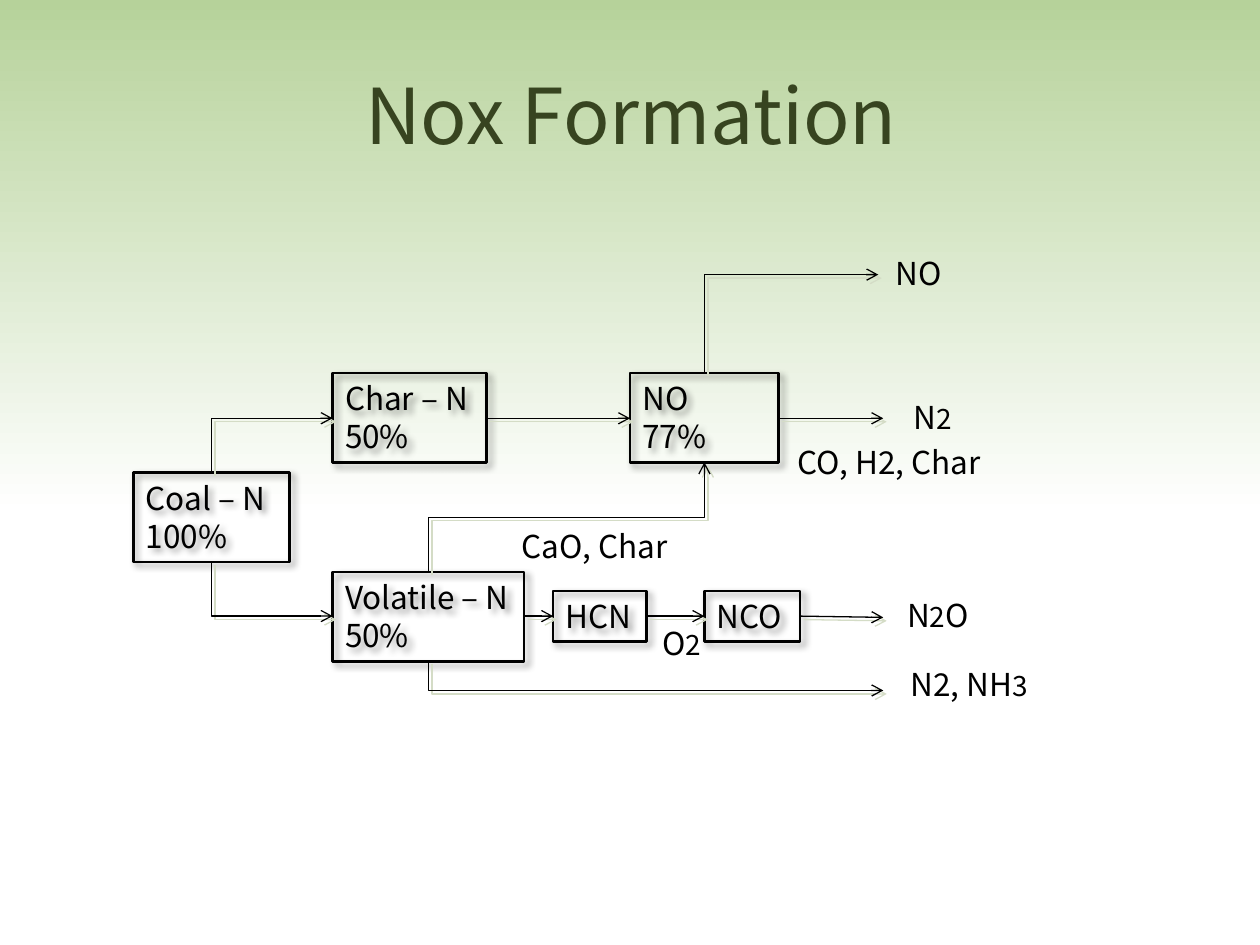
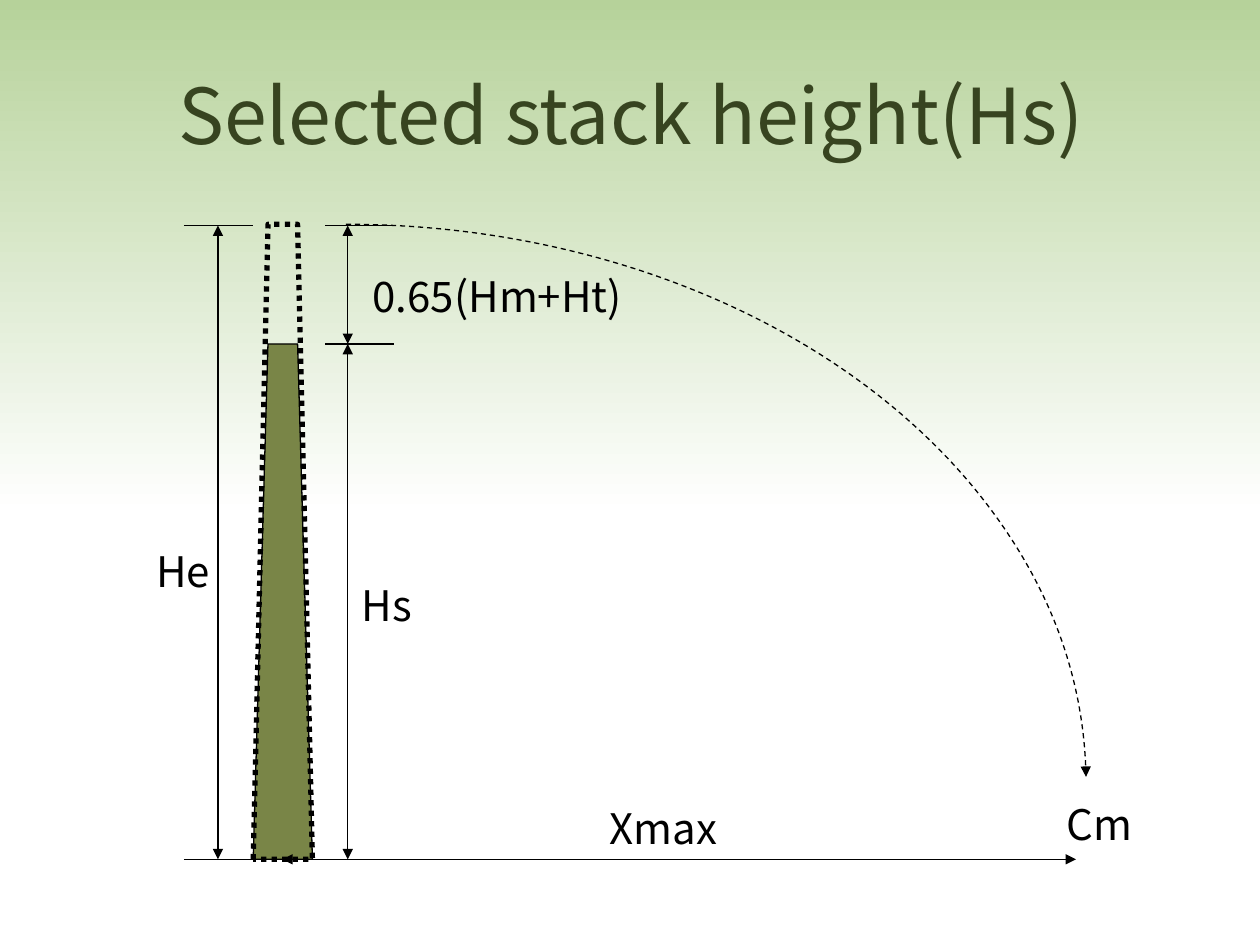
from lxml.etree import SubElement
from pptx import Presentation
from pptx.dml.color import RGBColor
from pptx.enum.dml import MSO_LINE
from pptx.enum.shapes import MSO_CONNECTOR, MSO_SHAPE
from pptx.enum.text import MSO_ANCHOR, MSO_AUTO_SIZE, PP_ALIGN
from pptx.oxml.ns import qn
from pptx.util import Emu, Pt

SCALE = 9144
FONT = "Noto Sans CJK KR"
BLACK = RGBColor(0x00, 0x00, 0x00)
WHITE = RGBColor(0xFF, 0xFF, 0xFF)
LEAF = RGBColor(0xB6, 0xD2, 0x9A)
MOSS = RGBColor(0x37, 0x44, 0x20)
OLIVE = RGBColor(0x79, 0x85, 0x47)
HAZE = RGBColor(0xD4, 0xDC, 0xC6)


def px(*sizes):
    return [Emu(round(size * SCALE)) for size in sizes]


class Deck:
    """Holds the shared style and draws on the current slide."""

    def __init__(self):
        self.file = Presentation()
        self.file.slide_width, self.file.slide_height = px(1000, 750)

    def page(self, title):
        self.slide = self.file.slides.add_slide(self.file.slide_layouts[6])
        self.shapes = self.slide.shapes
        band = self.shape(MSO_SHAPE.RECTANGLE, 0, 0, 1000, 408)
        band.fill.gradient()
        band.fill.gradient_angle = 270
        for stop, color in zip(band.fill.gradient_stops, (LEAF, WHITE)):
            stop.color.rgb = color
        band.line.fill.background()
        frame = self.shapes.add_textbox(*px(51, 28, 900, 125)).text_frame
        frame.word_wrap = True
        frame.vertical_anchor = MSO_ANCHOR.MIDDLE
        self.say(frame, [title], 44, MOSS, PP_ALIGN.CENTER)

    def say(self, frame, lines, size, color=BLACK, align=PP_ALIGN.LEFT):
        for row, line in enumerate(lines):
            para = frame.add_paragraph() if row else frame.paragraphs[0]
            para.alignment = align
            for turn, part in enumerate(line.split("_")):
                if part:
                    run = para.add_run()
                    run.text = part
                    run.font.name = FONT
                    run.font.size = Pt(size - 2 * (turn % 2))
                    run.font.color.rgb = color

    def fit(self, frame, lines, size, wrap=False):
        frame.word_wrap = wrap
        frame.auto_size = MSO_AUTO_SIZE.SHAPE_TO_FIT_TEXT
        frame.vertical_anchor = MSO_ANCHOR.TOP
        self.say(frame, lines, size)

    def label(self, x, y, w, h, text, size):
        frame = self.shapes.add_textbox(*px(x, y, w, h)).text_frame
        self.fit(frame, [text], size)

    def stroke(self, shape, width=0.75, dash=None, head=None, tail=None):
        shape.line.color.rgb = BLACK
        shape.line.width = Pt(width)
        if dash:
            shape.line.dash_style = dash
        line = shape.element.spPr.find(qn("a:ln"))
        for tag, kind in (("a:headEnd", head), ("a:tailEnd", tail)):
            if kind:
                SubElement(line, qn(tag), type=kind)

    def shade(self, effect, color, alpha, blur, dist):
        shadow = SubElement(
            effect, qn("a:outerShdw"), blurRad=str(Pt(blur)),
            dist=str(Pt(dist)), dir="2700000", algn="tl", rotWithShape="0")
        tint = SubElement(shadow, qn("a:srgbClr"), val=str(color))
        SubElement(tint, qn("a:alpha"), val=str(alpha * 1000))

    def shape(self, kind, x, y, w, h, fill=None, **style):
        shape = self.shapes.add_shape(kind, *px(x, y, w, h))
        shape.shadow.inherit = False
        if fill:
            shape.fill.solid()
            shape.fill.fore_color.rgb = fill
        else:
            shape.fill.background()
        self.stroke(shape, **style)
        return shape

    def box(self, x, y, w, h, *lines, wrap=False):
        shape = self.shape(MSO_SHAPE.RECTANGLE, x, y, w, h, width=1.5)
        effect = shape.element.spPr.find(qn("a:effectLst"))
        self.shade(effect, BLACK, 40, 4, 3)
        self.fit(shape.text_frame, lines, 18, wrap)

    def line(self, x1, y1, x2, y2, kind=MSO_CONNECTOR.STRAIGHT, **style):
        link = self.shapes.add_connector(kind, *px(x1, y1, x2, y2))
        self.stroke(link, **style)
        effect = SubElement(link.element.spPr, qn("a:effectLst"))
        return link, effect

    def flow(self, *ends, **style):
        link, effect = self.line(*ends, tail="arrow", **style)
        self.shade(effect, HAZE, 100, 0, 2.8)
        return link

    def bend(self, x1, y1, x2, y2, form="bentConnector2"):
        midx, midy = (x1 + x2) / 2, (y1 + y2) / 2
        half, rise = (x2 - x1) / 2, abs(y2 - y1) / 2
        link = self.flow(midx - rise, midy - half, midx + rise, midy + half,
                         kind=MSO_CONNECTOR.ELBOW)
        link.element.spPr.find(qn("a:prstGeom")).set("prst", form)
        frame = link.element.spPr.find(qn("a:xfrm"))
        frame.set("flipH", "1")
        if y2 > y1:
            frame.set("rot", "16200000")
        else:
            frame.set("rot", "5400000")
            frame.set("flipV", "1")

    def span(self, *ends):
        self.line(*ends, head="triangle", tail="triangle")


def nox(deck):
    deck.page("Nox Formation")
    deck.box(106, 375, 124, 71, "Coal – N", "100%")
    deck.box(264, 296, 122, 71, "Char – N", "50%")
    deck.box(264, 454, 152, 71, "Volatile – N", "50%")
    deck.box(500, 296, 118, 71, "NO", "77%", wrap=True)
    deck.box(439, 469, 74, 40, "HCN")
    deck.box(559, 469, 76, 40, "NCO")
    deck.bend(168, 446, 264, 489)
    deck.bend(168, 375, 264, 332)
    deck.bend(340, 454, 559, 367, "bentConnector3")
    deck.bend(559, 296, 697, 218)
    deck.bend(340, 524, 701, 548)
    for ends in ((386, 332, 500, 332), (416, 489, 439, 489),
                 (513, 489, 559, 489), (618, 332, 701, 332),
                 (635, 489, 701, 490)):
        deck.flow(*ends)
    for x, y, w, text in ((516, 490, 54, "O_2"), (701, 197, 57, "NO"),
                          (715, 311, 52, "N_2"), (713, 523, 118, "N2, NH_3"),
                          (710, 468, 72, "N_2_O"),
                          (623, 347, 179, "CO, H2, Char"),
                          (404, 413, 144, "CaO, Char")):
        deck.label(x, y, w, 40, text, 18)


def stack(deck):
    top, mouth, base = 179, 273, 682
    deck.page("Selected stack height(Hs)")
    deck.shape(MSO_SHAPE.TRAPEZOID, 201, mouth, 47, base - mouth, OLIVE)
    deck.shape(MSO_SHAPE.TRAPEZOID, 201, 178, 47, 504,
               width=3, dash=MSO_LINE.ROUND_DOT)
    for x, y in ((258, top), (258, mouth), (248, base),
                 (146, top), (146, base)):
        deck.line(x, y, x + 55, y)
    deck.span(276, top, 276, mouth)
    deck.span(276, mouth, 276, base)
    deck.span(173, top, 173, base)
    deck.span(224, base, 854, base)
    plume = deck.shape(MSO_SHAPE.ARC, -313, 178, 1175, 889,
                       dash=MSO_LINE.DASH, tail="triangle")
    plume.adjustments[0] = 162
    plume.adjustments[1] = 215.65
    for x, y, w, text in ((277, 455, 62, "Hs"), (286, 210, 224, "0.65(Hm+Ht)"),
                          (114, 428, 64, "He"), (474, 632, 106, "Xmax"),
                          (837, 629, 73, "Cm")):
        deck.label(x, y, w, 50, text, 24)


def main():
    deck = Deck()
    nox(deck)
    stack(deck)
    deck.file.save("out.pptx")


if __name__ == "__main__":
    main()
